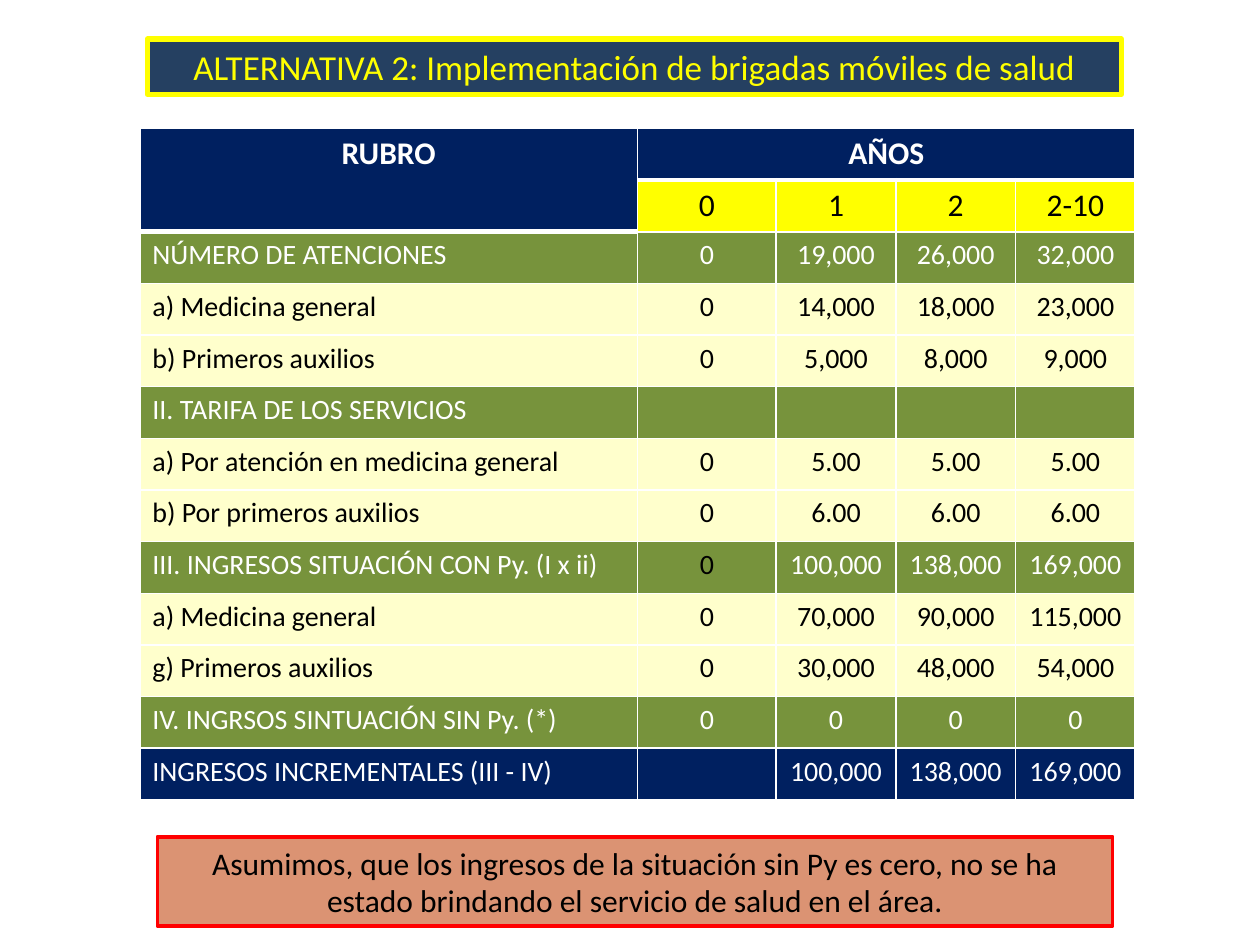
import pptx
import pptx.util
import pptx.dml.color
import pptx.enum.shapes
import pptx.enum.text
import pptx.oxml.ns
from lxml import etree
from pptx.util import Inches

NAVY, GREEN, CREAM, YELLOW = "002060", "77933C", "FFFFCC", "FFFF00"
WHITE, BLACK = "FFFFFF", "000000"
COLUMN_WIDTHS = [3.95, 1.1, 0.95, 0.95, 0.95]
ROW_HEIGHT = 0.41
YEARS = ["0", "1", "2", "2-10"]
ITEMS = [
    (GREEN, "NÚMERO DE ATENCIONES", "0", "19,000", "26,000", "32,000"),
    (CREAM, "a) Medicina general", "0", "14,000", "18,000", "23,000"),
    (CREAM, "b) Primeros auxilios", "0", "5,000", "8,000", "9,000"),
    (GREEN, "II. TARIFA DE LOS SERVICIOS", "", "", "", ""),
    (CREAM, "a) Por atención en medicina general", "0", "5.00", "5.00", "5.00"),
    (CREAM, "b) Por primeros auxilios", "0", "6.00", "6.00", "6.00"),
    (GREEN, "III. INGRESOS SITUACIÓN CON Py. (I x ii)", "0", "100,000", "138,000", "169,000"),
    (CREAM, "a) Medicina general", "0", "70,000", "90,000", "115,000"),
    (CREAM, "g) Primeros auxilios", "0", "30,000", "48,000", "54,000"),
    (GREEN, "IV. INGRSOS SINTUACIÓN SIN Py. (*)", "0", "0", "0", "0"),
    (NAVY, "INGRESOS INCREMENTALES (III - IV)", "", "100,000", "138,000", "169,000"),
]


def color(value):
    return pptx.dml.color.RGBColor.from_string(value)


def add_element(parent, tag, **attributes):
    return etree.SubElement(parent, pptx.oxml.ns.qn(tag), attributes)


def style_paragraph(para, size, ink, centered=True, bold=False):
    if centered:
        para.alignment = pptx.enum.text.PP_ALIGN.CENTER
    para.font.name = "Calibri"
    para.font.size = pptx.util.Pt(size)
    para.font.bold = bold
    para.font.color.rgb = color(ink)


def add_banner(slide, place, text, size, ink, fill, line, line_width):
    box = slide.shapes.add_shape(
        pptx.enum.shapes.MSO_SHAPE.RECTANGLE, *map(Inches, place))
    box.shadow.inherit = False
    box.fill.solid()
    box.fill.fore_color.rgb = color(fill)
    box.line.color.rgb = color(line)
    box.line.width = pptx.util.Pt(line_width)
    box.text_frame.word_wrap = True
    box.text_frame.text = text
    style_paragraph(box.text_frame.paragraphs[0], size, ink)


def add_borders(cell, top, bottom):
    properties = cell._tc.get_or_add_tcPr()
    for side, width in (("L", 1), ("R", 1), ("T", top), ("B", bottom)):
        line = add_element(properties, f"a:ln{side}", w=str(pptx.util.Pt(width)))
        add_element(add_element(line, "a:solidFill"), "a:srgbClr", val=WHITE)


def fill_cell(cell, text, fill, ink, size=16, centered=True, bold=False):
    cell.fill.solid()
    cell.fill.fore_color.rgb = color(fill)
    cell.text = text
    style_paragraph(cell.text_frame.paragraphs[0], size, ink, centered, bold)


def add_roman_number(para):
    properties = para._p.get_or_add_pPr()
    properties.set("marL", str(Inches(0.44)))
    properties.set("indent", str(Inches(-0.44)))
    add_element(properties, "a:buFont", typeface="+mj-lt")
    add_element(properties, "a:buAutoNum", type="romanUcPeriod")


def add_income_table(slide):
    row_count = len(ITEMS) + 2
    table = slide.shapes.add_table(
        row_count, len(COLUMN_WIDTHS), Inches(1.11), Inches(1.02),
        Inches(sum(COLUMN_WIDTHS)), Inches(ROW_HEIGHT * row_count)).table
    for column, width in zip(table.columns, COLUMN_WIDTHS):
        column.width = Inches(width)
    for row in table.rows:
        row.height = Inches(ROW_HEIGHT)

    for row in range(row_count):
        for column in range(len(COLUMN_WIDTHS)):
            header_end = 1 if column == 0 else 0
            add_borders(table.cell(row, column),
                        top=3 if row == header_end + 1 else 1,
                        bottom=3 if row == header_end else 1)

    table.cell(0, 0).merge(table.cell(1, 0))
    table.cell(0, 1).merge(table.cell(0, 4))
    for column, heading in enumerate(["RUBRO", "AÑOS"]):
        fill_cell(table.cell(0, column), heading, NAVY, WHITE, 18, bold=True)
    for column, year in enumerate(YEARS, 1):
        fill_cell(table.cell(1, column), year, YELLOW, BLACK, 18)

    add_roman_number(table.cell(2, 0).text_frame.paragraphs[0])
    for row, (fill, *texts) in enumerate(ITEMS, 2):
        ink = BLACK if fill == CREAM else WHITE
        for column, text in enumerate(texts):
            fill_cell(table.cell(row, column), text, fill, ink, centered=column > 0)
    table.cell(8, 1).text_frame.paragraphs[0].font.color.rgb = color(BLACK)


def main():
    deck = pptx.Presentation()
    deck.slide_width, deck.slide_height = Inches(10), Inches(7.5)
    slide = deck.slides.add_slide(deck.slide_layouts[6])
    add_banner(slide, (1.17, 0.31, 7.73, 0.44),
               "ALTERNATIVA 2: Implementación de brigadas móviles de salud",
               20, YELLOW, "254061", YELLOW, 3)
    add_income_table(slide)
    add_banner(slide, (1.25, 6.64, 7.58, 0.71),
               "Asumimos, que los ingresos de la situación sin Py es cero, no se ha "
               "estado brindando el servicio de salud en el área.",
               18, BLACK, "DB9373", "FF0000", 2.25)
    deck.save("out.pptx")


if __name__ == "__main__":
    main()
